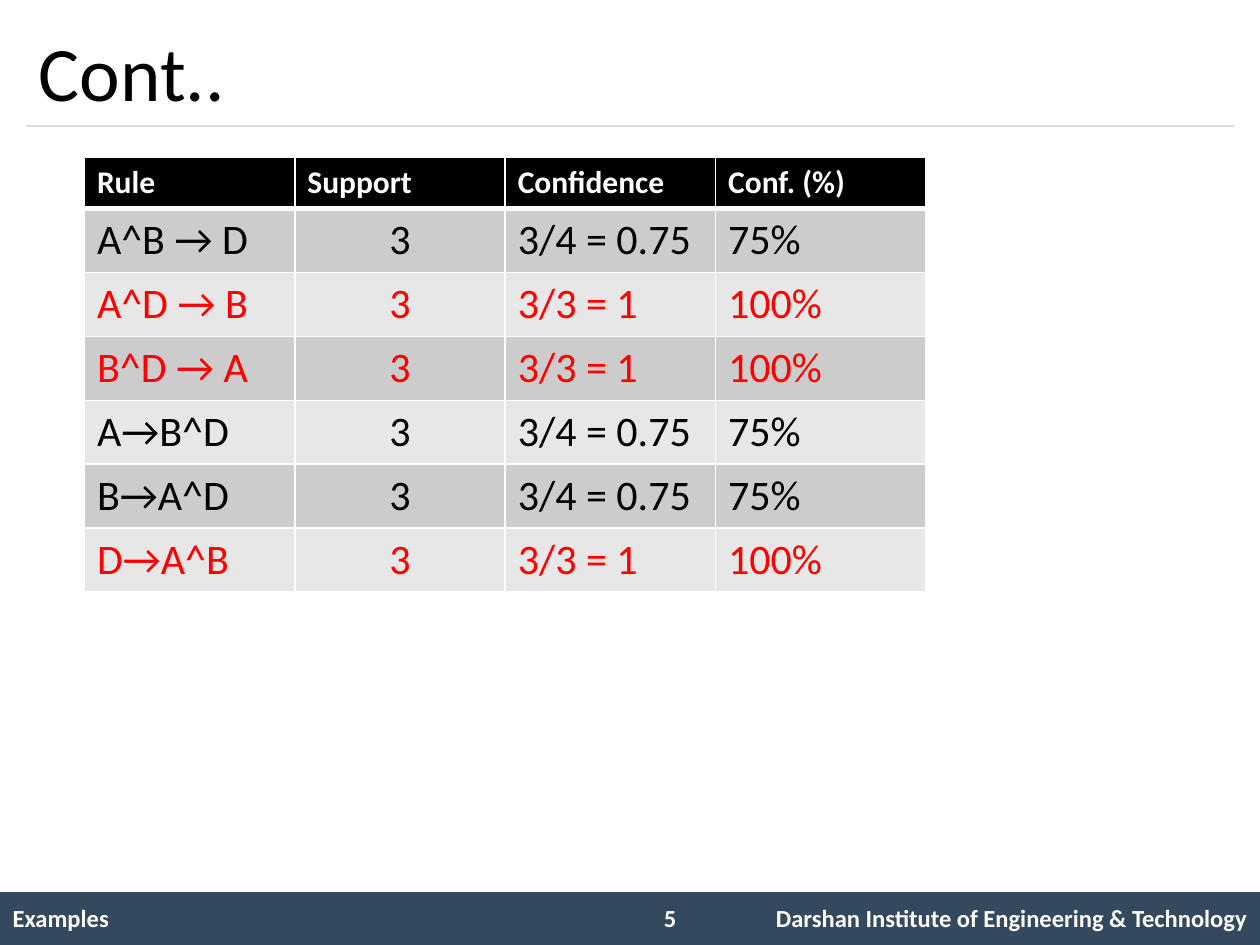
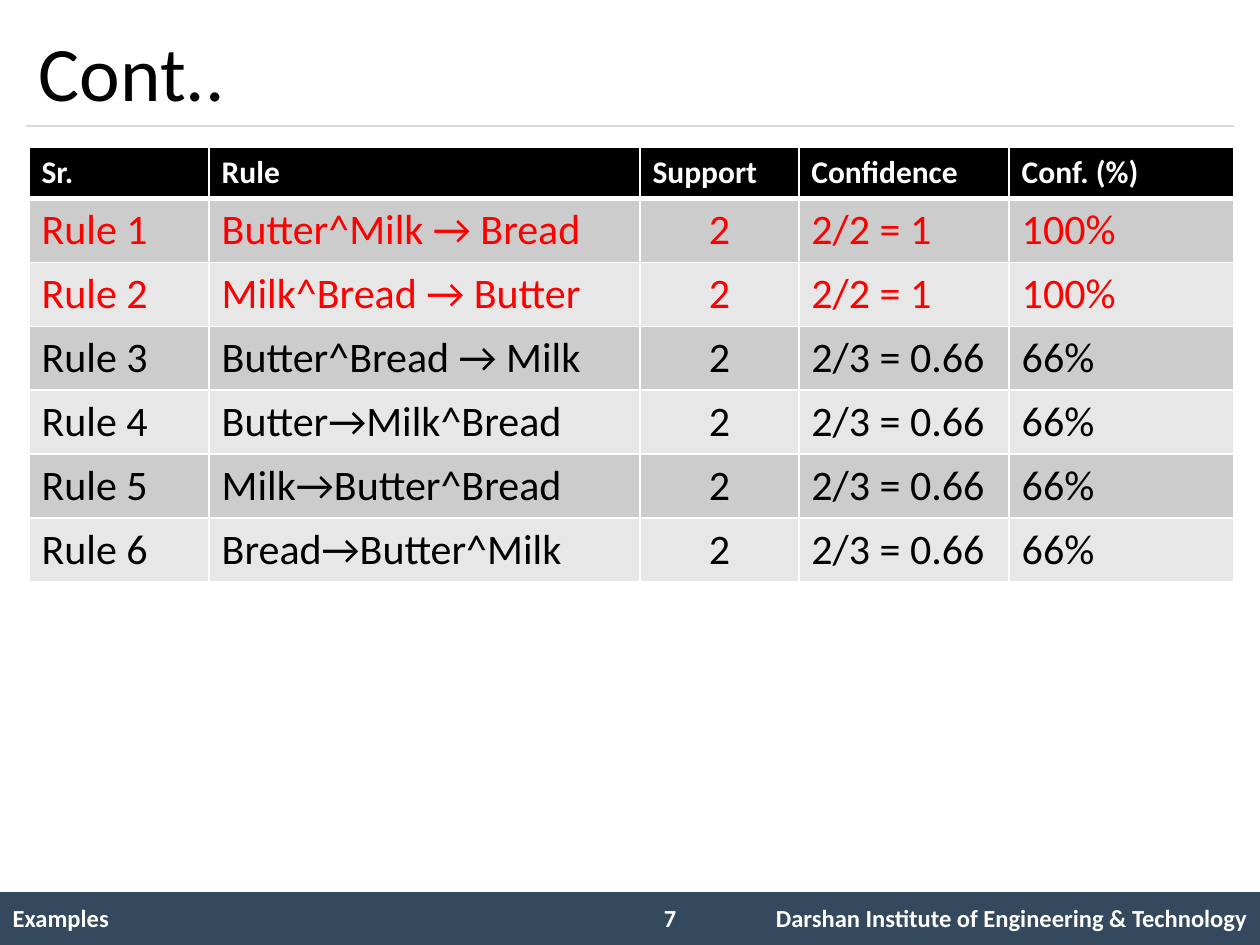
from lxml import etree
from pptx import Presentation
from pptx.dml.color import RGBColor
from pptx.enum.shapes import MSO_CONNECTOR, MSO_SHAPE
from pptx.enum.text import MSO_ANCHOR, PP_ALIGN
from pptx.oxml.ns import qn
from pptx.util import Inches, Pt

LEFT, CENTER, RIGHT = PP_ALIGN.LEFT, PP_ALIGN.CENTER, PP_ALIGN.RIGHT
MIDDLE = MSO_ANCHOR.MIDDLE
RECTANGLE = MSO_SHAPE.RECTANGLE
STRAIGHT = MSO_CONNECTOR.STRAIGHT

FONT = "Calibri"
BLACK, WHITE, RED = "000000", "FFFFFF", "FF0000"
SLATE, RULE_GREY = "34495E", "D9D9D9"
BANDS = ["CCCCCC", "E7E7E7"]
PLAIN_TABLE = "{2D5ABB26-0587-4C30-8999-92F81FD0307C}"
HEADER_HEIGHT, ROW_HEIGHT = 0.4, 0.5

# Each page: number, table position, column widths, rows with the header first
PAGES = [
    (5, 0.67, 1.25, [1.67] * 4, [
        ["Rule", "Support", "Confidence", "Conf. (%)"],
        ["A^B → D", "3", "3/4 = 0.75", "75%"],
        ["A^D → B", "3", "3/3 = 1", "100%"],
        ["B^D → A", "3", "3/3 = 1", "100%"],
        ["A→B^D", "3", "3/4 = 0.75", "75%"],
        ["B→A^D", "3", "3/4 = 0.75", "75%"],
        ["D→A^B", "3", "3/3 = 1", "100%"],
    ]),
    (7, 0.23, 1.17, [1.43, 3.42, 1.26, 1.67, 1.78], [
        ["Sr.", "Rule", "Support", "Confidence", "Conf. (%)"],
        ["Rule 1", "Butter^Milk → Bread", "2", "2/2 = 1", "100%"],
        ["Rule 2", "Milk^Bread → Butter", "2", "2/2 = 1", "100%"],
        ["Rule 3", "Butter^Bread → Milk", "2", "2/3 = 0.66", "66%"],
        ["Rule 4", "Butter→Milk^Bread", "2", "2/3 = 0.66", "66%"],
        ["Rule 5", "Milk→Butter^Bread", "2", "2/3 = 0.66", "66%"],
        ["Rule 6", "Bread→Butter^Milk", "2", "2/3 = 0.66", "66%"],
    ]),
]


def color(value):
    return RGBColor.from_string(value)


def write(frame, text, size, ink, bold=False, align=LEFT):
    para = frame.paragraphs[0]
    para.text = text
    para.alignment = align
    para.font.name = FONT
    para.font.size = Pt(size)
    para.font.bold = bold
    para.font.color.rgb = color(ink)


deck = Presentation()
deck.slide_width, deck.slide_height = Inches(10), Inches(7.5)

for number, left, top, widths, rows in PAGES:
    page = deck.slides.add_slide(deck.slide_layouts[6])

    # Footer band and line under the title
    band = page.shapes.add_shape(RECTANGLE, 0, Inches(7.08), Inches(10), Inches(0.42))
    band.shadow.inherit = False
    band.fill.solid()
    band.fill.fore_color.rgb = color(SLATE)
    band.line.fill.background()

    divider = page.shapes.add_connector(
        STRAIGHT, Inches(0.21), Inches(1), Inches(9.79), Inches(1))
    divider.line.color.rgb = color(RULE_GREY)
    divider.line.width = Pt(0.75)
    etree.SubElement(divider.element.spPr, qn("a:effectLst"))

    # Footer table and the rule table share one plain style
    footer_widths = [5.08, 0.67, 4.25]
    footer = page.shapes.add_table(
        1, 3, 0, Inches(7.08), Inches(10), Inches(0.43)).table
    rules = page.shapes.add_table(
        len(rows), len(widths), Inches(left), Inches(top), Inches(sum(widths)),
        Inches(HEADER_HEIGHT + ROW_HEIGHT * (len(rows) - 1))).table
    for table, column_widths in [(footer, footer_widths), (rules, widths)]:
        table.horz_banding = False
        table.first_row = table is rules
        style = next(table._tbl.iter(qn("a:tableStyleId")))
        style.text = PLAIN_TABLE
        for column, width in zip(table.columns, column_widths):
            column.width = Inches(width)

    for index, text, align in [
            (0, "Examples", LEFT),
            (2, "Darshan Institute of Engineering & Technology", RIGHT)]:
        cell = footer.cell(0, index)
        cell.vertical_anchor = MIDDLE
        write(cell.text_frame, text, 14, WHITE, True, align)

    # Page number and title
    box = page.shapes.add_textbox(Inches(5.17), Inches(7.12), Inches(0.58), Inches(0.34))
    box.text_frame.word_wrap = True
    write(box.text_frame, str(number), 14, WHITE, True)

    title = page.shapes.add_textbox(Inches(0.21), Inches(0.12), Inches(9.58), Inches(0.88))
    title.text_frame.word_wrap = True
    title.text_frame.vertical_anchor = MIDDLE
    write(title.text_frame, "Cont..", 44, BLACK)

    # Rule table: rules with full confidence are red
    support = rows[0].index("Support")
    for r, values in enumerate(rows):
        header = r == 0
        rules.rows[r].height = Inches(HEADER_HEIGHT if header else ROW_HEIGHT)
        for c, text in enumerate(values):
            cell = rules.cell(r, c)
            if header:
                write(cell.text_frame, text, 18, WHITE, True)
            else:
                ink = RED if values[-1] == "100%" else BLACK
                write(cell.text_frame, text, 24, ink,
                      align=CENTER if c == support else LEFT)

            # White borders, heavier between header and body
            heavy_side = {0: "lnB", 1: "lnT"}.get(r)
            properties = cell._tc.get_or_add_tcPr()
            for side in ["lnL", "lnR", "lnT", "lnB"]:
                width = Pt(3 if side == heavy_side else 1)
                border = etree.SubElement(properties, qn("a:" + side), w=str(width))
                fill = etree.SubElement(border, qn("a:solidFill"))
                etree.SubElement(fill, qn("a:srgbClr"), val=WHITE)
            cell.fill.solid()
            cell.fill.fore_color.rgb = color(BLACK if header else BANDS[(r - 1) % 2])

deck.save("out.pptx")
